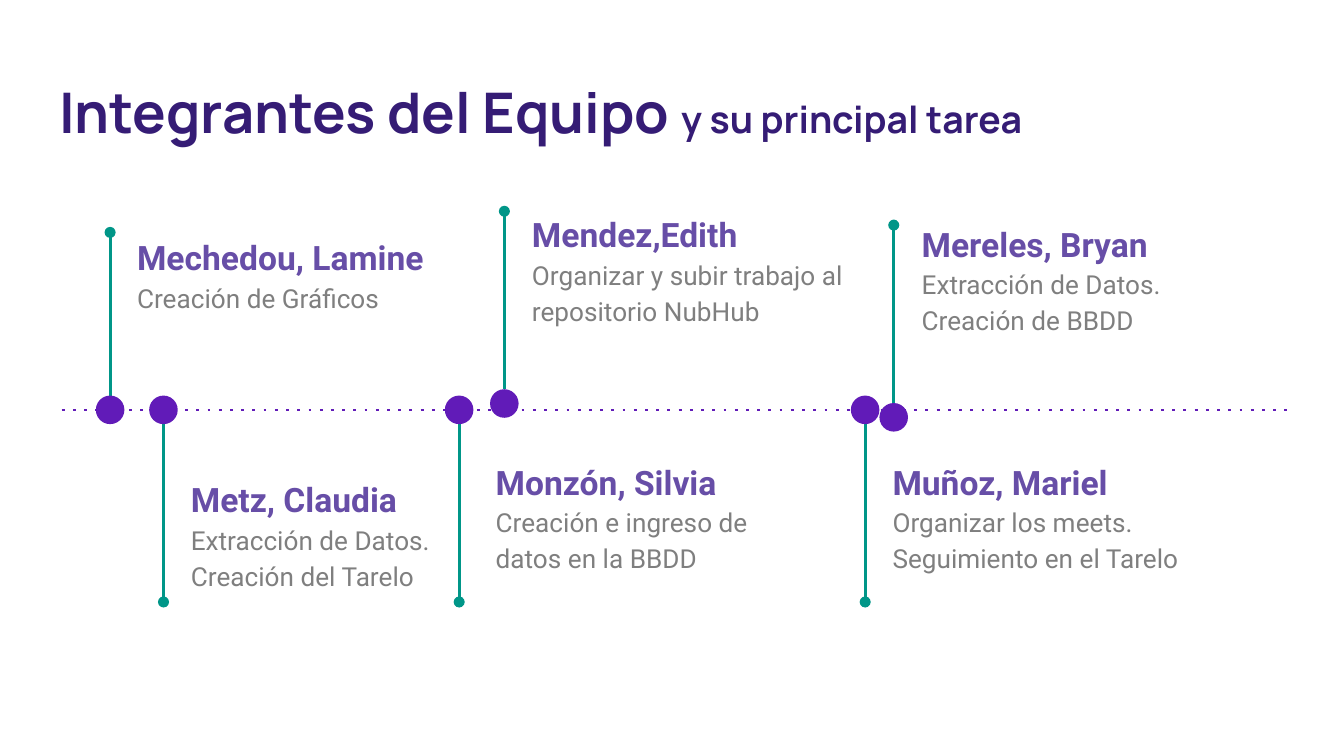
from lxml.etree import SubElement
from pptx import Presentation
from pptx.dml.color import RGBColor
from pptx.enum.dml import MSO_LINE_DASH_STYLE as Dash
from pptx.enum.shapes import MSO_CONNECTOR as Connector, MSO_SHAPE as Shape
from pptx.enum.text import MSO_ANCHOR as Anchor
from pptx.oxml.ns import qn
from pptx.util import Pt

# Content: name, task, dot centre (x, y), stem end y, text box (left, top, width)
TITLE = ("Integrantes del Equipo ", "y su principal tarea")
AXIS_Y = 219.6
DOWN_END = 322.5
MEMBERS = [
    ("Mechedou, Lamine", "Creación de Gráficos",
     (59, AXIS_Y), 124.5, (66.4, 116.6, 175)),
    ("Metz, Claudia", "Extracción de Datos. Creación del Tarelo",
     (87.6, AXIS_Y), DOWN_END, (95.2, 246.2, 163.4)),
    ("Mendez,Edith", "Organizar y subir trabajo al repositorio NubHub",
     (270.2, 216.2), 113.2, (277.9, 104.4, 188.6)),
    ("Monzón, Silvia", "Creación e ingreso de datos en la BBDD",
     (246, AXIS_Y), DOWN_END, (258.5, 236.9, 175)),
    ("Mereles, Bryan", "Extracción de Datos. Creación de BBDD",
     (478.8, 223.6), 120.6, (486.7, 109.4, 175)),
    ("Muñoz, Mariel", "Organizar los meets. Seguimiento en el Tarelo",
     (463.5, AXIS_Y), DOWN_END, (471.1, 236.9, 175)),
]

NAVY = RGBColor(0x35, 0x1C, 0x75)
PURPLE = RGBColor(0x61, 0x1B, 0xB8)
VIOLET = RGBColor(0x67, 0x4E, 0xA7)
TEAL = RGBColor(0x00, 0x96, 0x88)
GREY = RGBColor(0x7F, 0x7F, 0x7F)
DOT = 15.3
TEXT_HEIGHT = 76.3
INSET = 7.2


def set_frame(frame, anchor):
    frame.word_wrap = True
    frame.vertical_anchor = anchor
    frame.margin_left = frame.margin_right = Pt(INSET)
    frame.margin_top = frame.margin_bottom = Pt(INSET)


def style(span, font, size, color, bold):
    span.font.name = font
    span.font.size = Pt(size)
    span.font.color.rgb = color
    span.font.bold = bold


def add_line(page, x1, y1, x2, y2, color):
    line = page.shapes.add_connector(
        Connector.STRAIGHT, Pt(x1), Pt(y1), Pt(x2), Pt(y2))
    line.line.color.rgb = color
    line.line.width = Pt(1.5)
    SubElement(line._element.spPr, qn("a:effectLst"))
    return line


def add_stem(page, x, y, end):
    start = y + (DOT / 2 if end > y else -DOT / 2)
    stem = add_line(page, x, start, x, end, TEAL)
    SubElement(stem.line._get_or_add_ln(), qn("a:tailEnd"), type="oval")


def add_dot(page, x, y):
    dot = page.shapes.add_shape(
        Shape.OVAL, Pt(x - DOT / 2), Pt(y - DOT / 2), Pt(DOT), Pt(DOT))
    dot.shadow.inherit = False
    dot.fill.solid()
    dot.fill.fore_color.rgb = PURPLE
    dot.line.fill.background()


def add_member_text(page, name, task, left, top, width):
    box = page.shapes.add_textbox(Pt(left), Pt(top), Pt(width), Pt(TEXT_HEIGHT))
    set_frame(box.text_frame, Anchor.TOP)
    box.text_frame.text = f"{name}\n{task}"
    looks = [(18, VIOLET, True), (14, GREY, False)]
    for para, (size, color, bold) in zip(box.text_frame.paragraphs, looks):
        para.line_spacing = 1.15
        style(para.runs[0], "Roboto", size, color, bold)


deck = Presentation()
deck.slide_width, deck.slide_height = Pt(720), Pt(405)
page = deck.slides.add_slide(deck.slide_layouts[5])

# Title
title = page.shapes.title
title.left, title.top, title.width, title.height = Pt(24.5), Pt(35.3), Pt(671), Pt(49)
set_frame(title.text_frame, Anchor.MIDDLE)
para = title.text_frame.paragraphs[0]
para.alignment = 1  # left
for words, size in zip(TITLE, (30, 20)):
    span = para.add_run()
    span.text = words
    style(span, "Manrope", size, NAVY, True)

# Dotted time axis
axis = add_line(page, 33.1, AXIS_Y, 689.8, AXIS_Y, PURPLE)
axis.line.dash_style = Dash.ROUND_DOT
axis.line._get_or_add_ln().find(qn("a:prstDash")).set("val", "dot")

# Team members
for name, task, (x, y), end, place in MEMBERS:
    add_stem(page, x, y, end)
    add_dot(page, x, y)
    add_member_text(page, name, task, *place)

deck.save("out.pptx")
